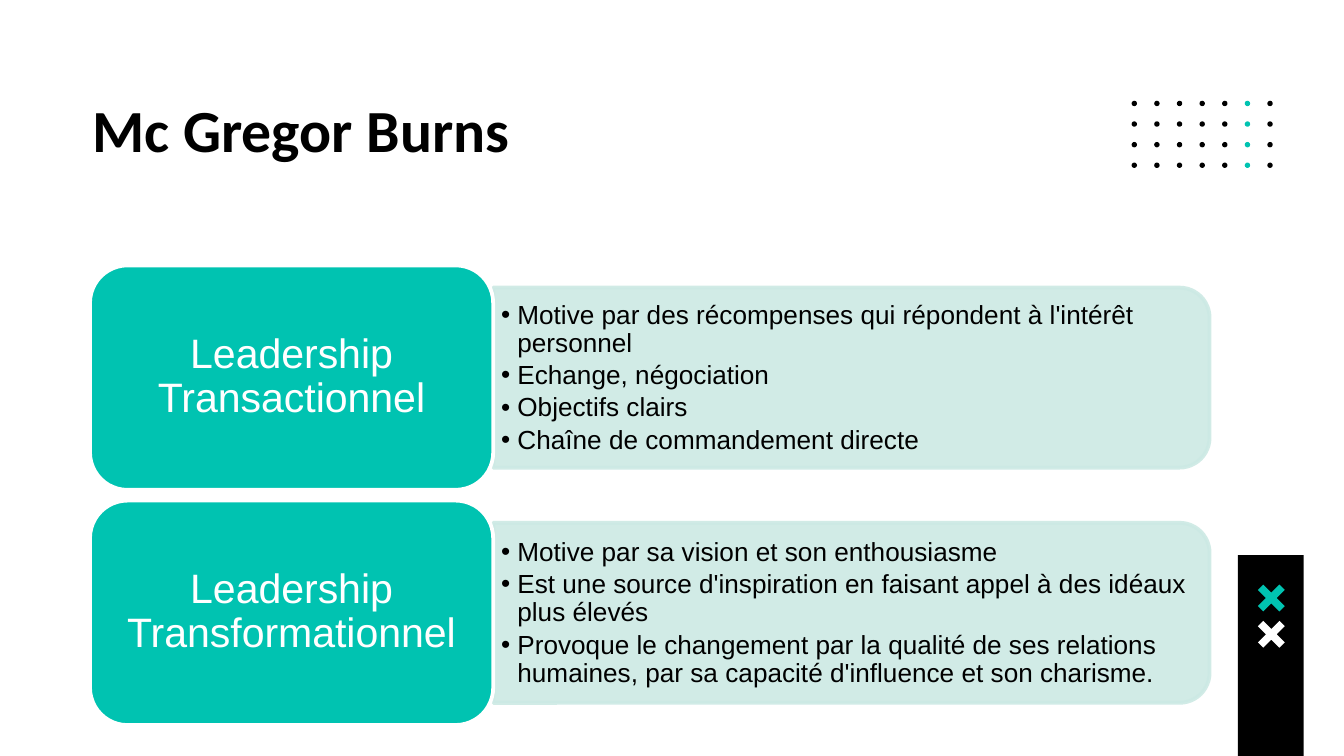
"""Build the slide on the two leadership styles of Mc Gregor Burns."""
from dataclasses import dataclass

from lxml.etree import SubElement
from pptx import Presentation
from pptx.dml.color import RGBColor
from pptx.enum.shapes import MSO_SHAPE as Preset
from pptx.enum.text import MSO_ANCHOR as Anchor, PP_ALIGN as Align
from pptx.oxml.ns import qn
from pptx.shapes.autoshape import Shape
from pptx.slide import Slide
from pptx.util import Inches, Pt

BLACK = RGBColor(0x00, 0x00, 0x00)
WHITE = RGBColor(0xFF, 0xFF, 0xFF)
TEAL = RGBColor(0x00, 0xC3, 0xB1)
MINT = RGBColor(0xCC, 0xE9, 0xE4)

PAGE_WIDTH = 10
PAGE_HEIGHT = PAGE_WIDTH * 9 / 16
DOT_COLUMNS, DOT_ROWS, TEAL_COLUMN = 7, 4, 5
DOT_LEFT, DOT_TOP, DOT_SIZE = 8.42, 0.75, 0.04
DOT_STEP_X, DOT_STEP_Y = 1.01 / 6, 0.46 / 3
CROSS_POINTS = [(4, 0), (0, 4), (6, 10), (0, 16), (4, 20), (10, 14),
                (16, 20), (20, 16), (14, 10), (20, 4), (16, 0), (10, 6)]
FIRST_CENTER, STYLE_STEP = 2.81, 1.75
LABEL_LEFT, LABEL_WIDTH, LABEL_HEIGHT = 0.67, 3, 1.67
PANEL_LEFT, PANEL_WIDTH, PANEL_HEIGHT = 3.67, 5.33, 1.34


@dataclass
class Style:
    name: str
    points: list[str]


STYLES = [
    Style("Leadership Transactionnel", [
        "Motive par des récompenses qui répondent à l'intérêt personnel",
        "Echange, négociation",
        "Objectifs clairs",
        "Chaîne de commandement directe",
    ]),
    Style("Leadership Transformationnel", [
        "Motive par sa vision et son enthousiasme",
        "Est une source d'inspiration en faisant appel à des idéaux plus élevés",
        "Provoque le changement par la qualité de ses relations humaines, "
        "par sa capacité d'influence et son charisme.",
    ]),
]


def paint(shape: Shape, fill: RGBColor, line: RGBColor | None = None) -> None:
    shape.shadow.inherit = False
    shape.fill.solid()
    shape.fill.fore_color.rgb = fill
    if line is None:
        shape.line.fill.background()
    else:
        shape.line.color.rgb = line
        shape.line.width = Pt(2)


def add_preset(page: Slide, preset: Preset, left: float, top: float, width: float,
               height: float, fill: RGBColor, line: RGBColor | None = None) -> Shape:
    shape = page.shapes.add_shape(preset, Inches(left), Inches(top), Inches(width), Inches(height))
    paint(shape, fill, line)
    return shape


def add_text(page: Slide, left: float, top: float, width: float, height: float,
             lines: list[str], size: float, color: RGBColor, inset_x: float, inset_y: float,
             anchor: Anchor = Anchor.MIDDLE, font: str = "Arial", bold: bool = False,
             align: Align = Align.LEFT, spacing: float = 0.9, bullets: bool = False) -> None:
    box = page.shapes.add_textbox(Inches(left), Inches(top), Inches(width), Inches(height))
    frame = box.text_frame
    frame.word_wrap = True
    frame.vertical_anchor = anchor
    frame.margin_left = frame.margin_right = Inches(inset_x)
    frame.margin_top = frame.margin_bottom = Inches(inset_y)
    frame.text = "\n".join(lines)
    for para in frame.paragraphs:
        if bullets:
            add_bullet(para)
        para.alignment = align
        para.line_spacing = spacing
        para.font.name = font
        para.font.size = Pt(size)
        para.font.bold = bold
        para.font.color.rgb = color


def add_bullet(para) -> None:
    properties = para._p.get_or_add_pPr()
    properties.set("marL", str(Inches(0.12)))
    properties.set("indent", str(-Inches(0.12)))
    SubElement(properties, qn("a:buFont"), typeface="Arial")
    SubElement(properties, qn("a:buChar"), char="•")
    para.space_after = Pt(2.1)


def add_cross(page: Slide, left: float, top: float, color: RGBColor) -> None:
    start, *others = [(Inches(left + x / 100), Inches(top + y / 100)) for x, y in CROSS_POINTS]
    builder = page.shapes.build_freeform(*start)
    builder.add_line_segments(others, close=True)
    paint(builder.convert_to_shape(), color)


def add_dots(page: Slide) -> None:
    for row in range(DOT_ROWS):
        for column in range(DOT_COLUMNS):
            add_preset(page, Preset.OVAL, DOT_LEFT + column * DOT_STEP_X,
                       DOT_TOP + row * DOT_STEP_Y, DOT_SIZE, DOT_SIZE,
                       TEAL if column == TEAL_COLUMN else BLACK)


def add_style(page: Slide, style: Style, center: float) -> None:
    panel = add_preset(page, Preset.ROUND_2_SAME_RECTANGLE,
                       PANEL_LEFT + (PANEL_WIDTH - PANEL_HEIGHT) / 2, center - PANEL_WIDTH / 2,
                       PANEL_HEIGHT, PANEL_WIDTH, MINT, MINT)
    panel.rotation = 90
    for color in panel.element.spPr.iter(qn("a:srgbClr")):
        SubElement(color, qn("a:alpha"), val="90000")
    add_text(page, PANEL_LEFT, center - 0.6, 5.27, 1.21, style.points, 14, BLACK,
             0.06, 0.03, bullets=True)
    add_preset(page, Preset.ROUNDED_RECTANGLE, LABEL_LEFT, center - LABEL_HEIGHT / 2,
               LABEL_WIDTH, LABEL_HEIGHT, TEAL, WHITE)
    add_text(page, LABEL_LEFT + 0.08, center - 0.76, 2.84, 1.51, [style.name], 22, WHITE,
             0.09, 0.05, align=Align.CENTER)


def main() -> None:
    deck = Presentation()
    deck.slide_width, deck.slide_height = Inches(PAGE_WIDTH), Inches(PAGE_HEIGHT)
    page = deck.slides.add_slide(deck.slide_layouts[6])
    add_dots(page)
    add_preset(page, Preset.RECTANGLE, 9.21, 4.13, 0.49, PAGE_HEIGHT - 4.13, BLACK)
    add_cross(page, 9.36, 4.35, TEAL)
    add_cross(page, 9.36, 4.62, WHITE)
    add_text(page, 0.59, 0.59, 8.86, 0.79, ["Mc Gregor Burns"], 32, BLACK, 0.1, 0.1,
             anchor=Anchor.TOP, font="Calibri", bold=True, spacing=1.0)
    for index, style in enumerate(STYLES):
        add_style(page, style, FIRST_CENTER + index * STYLE_STEP)
    deck.save("out.pptx")


if __name__ == "__main__":
    main()
